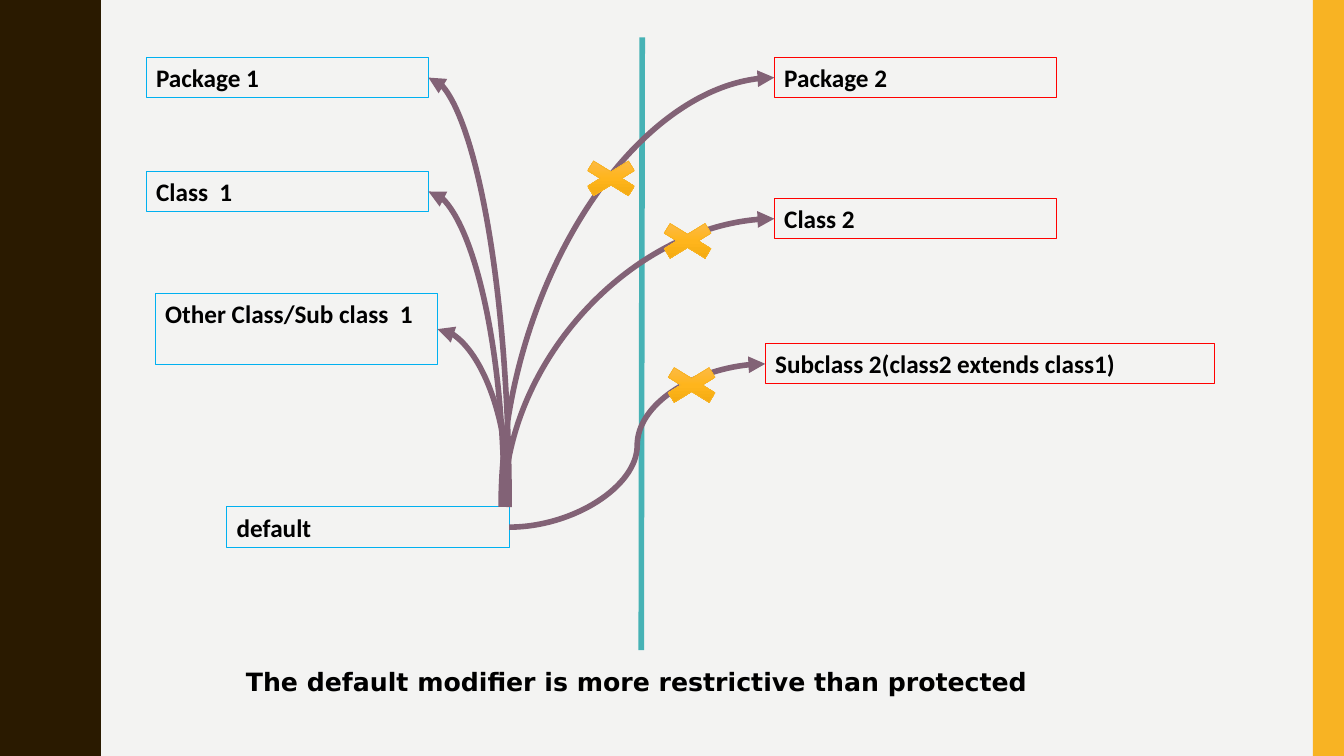
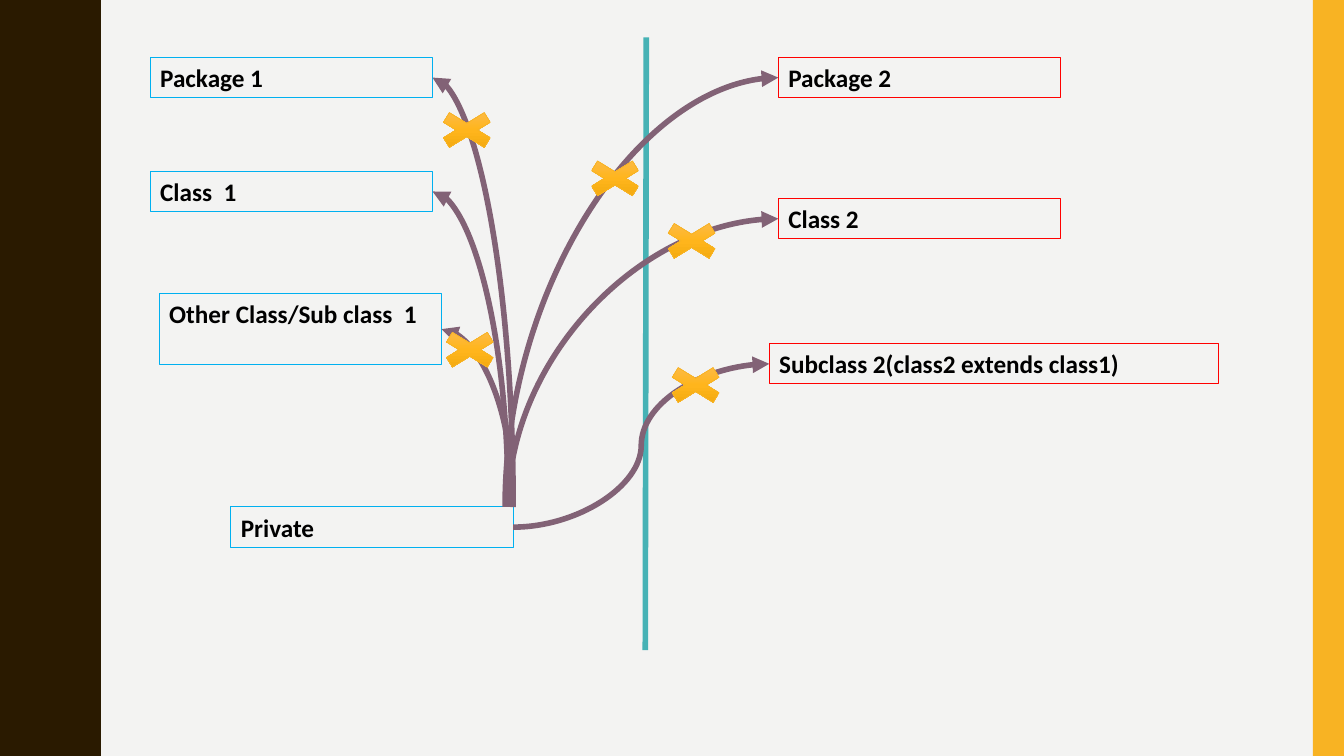
"""Build two slides showing where default and private Java members can be reached."""
from copy import deepcopy

from pptx import Presentation
from pptx.dml.color import RGBColor
from pptx.enum.shapes import MSO_CONNECTOR, MSO_SHAPE
from pptx.enum.text import MSO_ANCHOR, PP_ALIGN
from pptx.oxml.ns import qn
from pptx.util import Inches, Pt
from lxml.etree import SubElement

PAPER = RGBColor(0xF3, 0xF3, 0xF2)
BROWN = RGBColor(0x2A, 0x1A, 0x00)
AMBER = RGBColor(0xF8, 0xB3, 0x23)
TEAL = RGBColor(0x46, 0xB2, 0xB5)
PLUM = RGBColor(0x82, 0x62, 0x76)
BLUE = RGBColor(0x00, 0xB0, 0xF0)
RED = RGBColor(0xFF, 0x00, 0x00)
BLACK = RGBColor(0x00, 0x00, 0x00)
CROSS_STOPS = [(0, RGBColor(0xFB, 0xBC, 0x54)), (0.5, RGBColor(0xFF, 0xB5, 0x1C)),
               (1, RGBColor(0xEF, 0xA6, 0x0C))]

WIDTH, HEIGHT = 13.33, 7.5
TOP, LEFT, RIGHT = 0, 1, 3
WAVE_PERIOD = 1.5
HALF_WAVE = [(0.78, 0), (0.78, 0.07), (0.79, 0.14), (0.8, 0.2), (0.81, 0.25),
             (0.83, 0.29), (0.85, 0.33), (0.87, 0.38), (0.89, 0.42), (0.91, 0.46),
             (0.93, 0.5), (0.95, 0.55), (0.96, 0.61), (0.97, 0.68), (0.97, 0.75)]

TARGETS = [
    ("Package 1", 1.45, 0.57, 2.8, 0.4, BLUE),
    ("Package 2", 7.68, 0.57, 2.8, 0.4, RED),
    ("Class  1", 1.45, 1.7, 2.8, 0.4, BLUE),
    ("Class 2", 7.68, 1.97, 2.8, 0.4, RED),
    ("Subclass 2(class2 extends class1)", 7.59, 3.41, 4.46, 0.4, RED),
    ("Other Class/Sub class  1", 1.54, 2.91, 2.8, 0.71, BLUE),
]
SOURCE_BOX = (2.25, 5.03, 2.8, 0.4, BLUE)
ARCS = [("Other Class/Sub class  1", 5.05), ("Package 1", 5.05), ("Package 2", 4.97),
        ("Class  1", 5.0), ("Class 2", 5.0)]
S_CURVE_TARGET = "Subclass 2(class2 extends class1)"
OUTSIDE_CROSSES = [(5.67, 1.53), (6.43, 2.15), (6.47, 3.58)]
INSIDE_CROSSES = [(4.23, 3.23), (4.2, 1.05)]

SLIDES = [
    {"modifier": "default", "shift": 0, "crosses": OUTSIDE_CROSSES,
     "caption": "The default modifier is more restrictive than protected"},
    {"modifier": "Private", "shift": 0.04, "crosses": OUTSIDE_CROSSES + INSIDE_CROSSES},
]


def write(shape, text, font_name):
    frame = shape.text_frame
    frame.word_wrap = True
    frame.vertical_anchor = MSO_ANCHOR.TOP
    paragraph = frame.paragraphs[0]
    paragraph.text = text
    paragraph.alignment = PP_ALIGN.LEFT
    font = paragraph.font
    font.name, font.size, font.bold = font_name, Pt(18), True
    font.color.rgb = BLACK


def paint(shape, color):
    shape.shadow.inherit = False
    shape.fill.solid()
    shape.fill.fore_color.rgb = color
    shape.line.fill.background()


def dress_master(prs, slide):
    """Put the paper, wavy band and right-hand stripe on the slide master."""
    master = prs.slide_master
    master.background.fill.solid()
    master.background.fill.fore_color.rgb = PAPER
    wave = HALF_WAVE + [(x, WAVE_PERIOD - y) for x, y in reversed(HALF_WAVE[:-1])]
    edge = [(x, y + turn * WAVE_PERIOD)
            for turn in range(round(HEIGHT / WAVE_PERIOD)) for x, y in wave]
    outline = slide.shapes.build_freeform(0, 0, scale=Inches(1))
    outline.add_line_segments(edge + [(0, HEIGHT)], close=True)
    band = outline.convert_to_shape()
    stripe = slide.shapes.add_shape(MSO_SHAPE.RECTANGLE, Inches(13.02), 0,
                                    Inches(WIDTH - 13.02), Inches(HEIGHT))
    for shape, color in ((band, BROWN), (stripe, AMBER)):
        paint(shape, color)
        master.shapes.element.append(shape.element)


def add_box(slide, text, x, y, width, height, color):
    box = slide.shapes.add_shape(MSO_SHAPE.RECTANGLE, Inches(x), Inches(y),
                                 Inches(width), Inches(height))
    box.shadow.inherit = False
    box.fill.background()
    box.line.color.rgb = color
    box.line.width = Pt(0.75)
    write(box, text, "Calibri")
    return box


def add_line(slide, kind, start, end, color, arrow=None):
    line = slide.shapes.add_connector(kind, *map(Inches, start + end))
    line.line.color.rgb = color
    line.line.width = Pt(4)
    if arrow:
        SubElement(line.line._get_or_add_ln(), qn(arrow), type="triangle")
    SubElement(line.element.spPr, qn("a:effectLst"))
    return line


def add_arc(slide, target, start_x, start_y):
    """Leave the target sideways and reach the source from above."""
    site = RIGHT if target.left < Inches(start_x) - target.width else LEFT
    arc = add_line(slide, MSO_CONNECTOR.CURVE, (0, 0), (start_x, start_y), PLUM, "a:headEnd")
    arc.begin_connect(target, site)
    arc.element.spPr.find(qn("a:prstGeom")).set("prst", "curvedConnector2")


def add_cross(slide, x, y):
    cross = slide.shapes.add_shape(MSO_SHAPE.MATH_MULTIPLY, Inches(x), Inches(y),
                                   Inches(0.78), Inches(0.48))
    cross.shadow.inherit = False
    cross.fill.gradient()
    cross.fill.gradient_angle = 270
    stop_list = cross.element.spPr.find(".//" + qn("a:gsLst"))
    stop_list.insert(1, deepcopy(stop_list[0]))
    for stop, (position, color) in zip(cross.fill.gradient_stops, CROSS_STOPS):
        stop.position = position
        stop.color.rgb = color
    cross.line.color.rgb = AMBER
    cross.line.width = Pt(0.5)


def draw_access(slide, modifier, shift, crosses, caption=None):
    add_line(slide, MSO_CONNECTOR.STRAIGHT, (6.37 + shift, 0.37), (6.36 + shift, 6.45), TEAL)
    boxes = {text: add_box(slide, text, x + shift, *rest) for text, x, *rest in TARGETS}
    source_x, source_y, *source_rest = SOURCE_BOX
    source = add_box(slide, modifier, source_x + shift, source_y, *source_rest)
    for name, start_x in ARCS:
        add_arc(slide, boxes[name], start_x + shift, source_y)
    s_curve = add_line(slide, MSO_CONNECTOR.CURVE, (0, 0), (1, 1), PLUM, "a:tailEnd")
    s_curve.begin_connect(source, RIGHT)
    s_curve.end_connect(boxes[S_CURVE_TARGET], LEFT)
    for x, y in crosses:
        add_cross(slide, x + shift, y)
    if caption:
        note = slide.shapes.add_textbox(Inches(2.34), Inches(6.56), Inches(8.42), Inches(0.4))
        write(note, caption, "DejaVu Sans")


def main():
    prs = Presentation()
    prs.slide_width, prs.slide_height = Inches(WIDTH), Inches(HEIGHT)
    blank = prs.slide_layouts[6]
    for number, content in enumerate(SLIDES):
        slide = prs.slides.add_slide(blank)
        if number == 0:
            dress_master(prs, slide)
        draw_access(slide, **content)
    prs.save("out.pptx")


if __name__ == "__main__":
    main()
